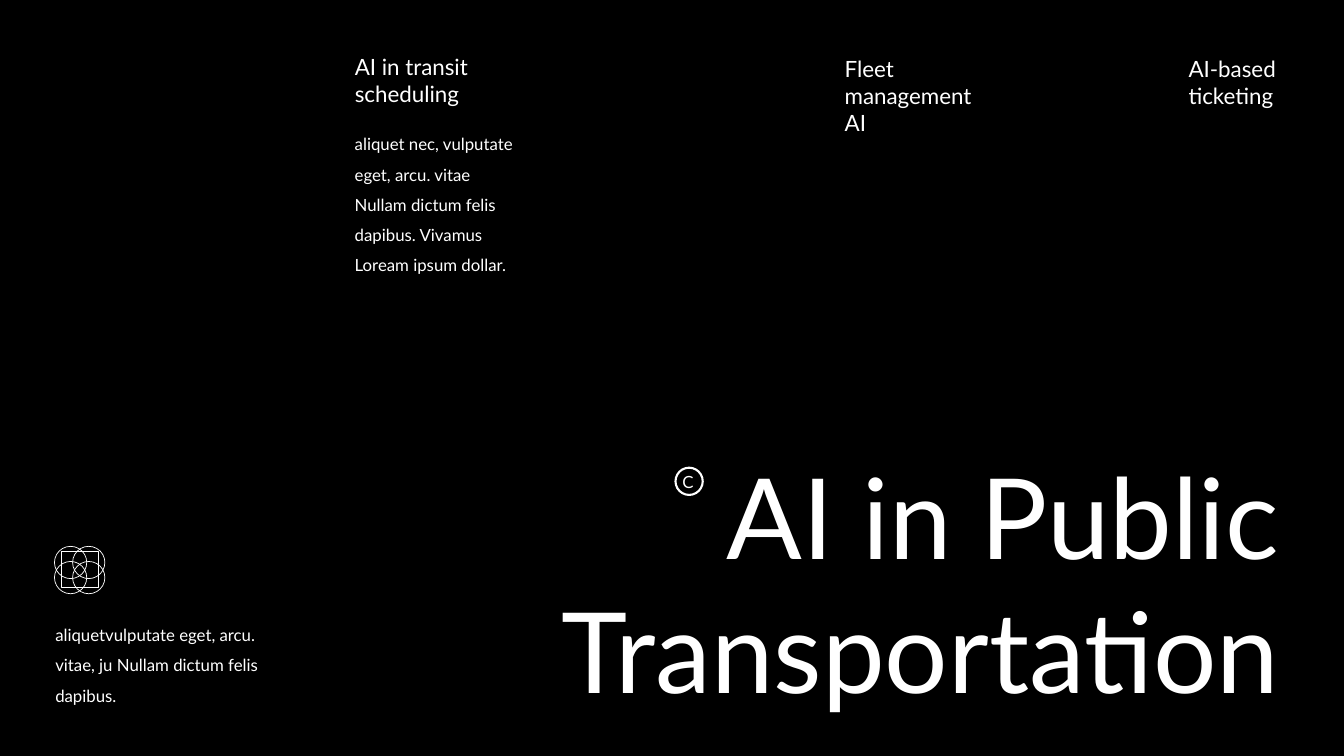
import pptx
import pptx.dml.color
import pptx.enum.shapes
import pptx.enum.text
import pptx.util

Inches = pptx.util.Inches
Pt = pptx.util.Pt
SHAPE = pptx.enum.shapes.MSO_SHAPE
ALIGN = pptx.enum.text.PP_ALIGN

BLACK = pptx.dml.color.RGBColor(0x00, 0x00, 0x00)
WHITE = pptx.dml.color.RGBColor(0xFF, 0xFF, 0xFF)
FONT = "Lato"

HEADINGS = [
    (3.42, 0.48, 2.02, 0.64, ["AI in transit", "scheduling"]),
    (8.28, 0.5, 2.3, 0.91, ["Fleet", "management", "AI"]),
    (11.69, 0.5, 1.84, 0.64, ["AI-based", "ticketing"]),
]
BODIES = [
    (3.42, 1.18, 2.83, 1.88, [
        "aliquet nec, vulputate",
        "eget, arcu. vitae",
        "Nullam dictum felis",
        "dapibus. Vivamus",
        "Loream ipsum dollar.",
    ]),
    (0.45, 6.05, 2.83, 0.98, [
        "aliquetvulputate eget, arcu.",
        "vitae, ju Nullam dictum felis",
        "dapibus.",
    ]),
]


def add_text(shapes, left, top, width, height, lines, size,
             spacing=None, align=ALIGN.LEFT):
    box = shapes.add_textbox(Inches(left), Inches(top), Inches(width), Inches(height))
    frame = box.text_frame
    frame.word_wrap = True
    frame.auto_size = pptx.enum.text.MSO_AUTO_SIZE.SHAPE_TO_FIT_TEXT
    frame.text = "\n".join(lines)
    for paragraph in frame.paragraphs:
        paragraph.alignment = align
        if spacing:
            paragraph.line_spacing = spacing
        for run in paragraph.runs:
            run.font.name = FONT
            run.font.size = Pt(size)
            run.font.color.rgb = WHITE


def add_outline(shapes, preset, left, top, width, height, weight):
    outline = shapes.add_shape(
        preset, Inches(left), Inches(top), Inches(width), Inches(height))
    outline.shadow.inherit = False
    outline.fill.background()
    outline.line.color.rgb = WHITE
    outline.line.width = Pt(weight)


def add_copyright_mark(slide):
    mark = slide.shapes.add_group_shape().shapes
    add_outline(mark, SHAPE.OVAL, 6.7, 4.64, 0.27, 0.27, 1.5)
    add_text(mark, 6.67, 4.63, 0.27, 0.3, ["C"], 12)


def add_ornament(slide):
    ornament = slide.shapes.add_group_shape().shapes
    add_outline(ornament, SHAPE.RECTANGLE, 0.61, 5.47, 0.37, 0.36, 0.5)
    for top in (5.57, 5.42):
        for left in (0.72, 0.54):
            add_outline(ornament, SHAPE.OVAL, left, top, 0.32, 0.32, 0.5)


def main():
    deck = pptx.Presentation()
    deck.slide_width = Inches(13.33)
    deck.slide_height = Inches(7.5)
    slide = deck.slides.add_slide(deck.slide_layouts[6])
    slide.background.fill.solid()
    slide.background.fill.fore_color.rgb = BLACK

    add_text(slide.shapes, 4.94, 4.39, 7.85, 2.79,
             ["AI in Public Transportation"], 80, align=ALIGN.RIGHT)
    add_copyright_mark(slide)
    for heading in HEADINGS:
        add_text(slide.shapes, *heading, 16)
    for body in BODIES:
        add_text(slide.shapes, *body, 12, spacing=1.5)
    add_ornament(slide)

    deck.save("out.pptx")


if __name__ == "__main__":
    main()
